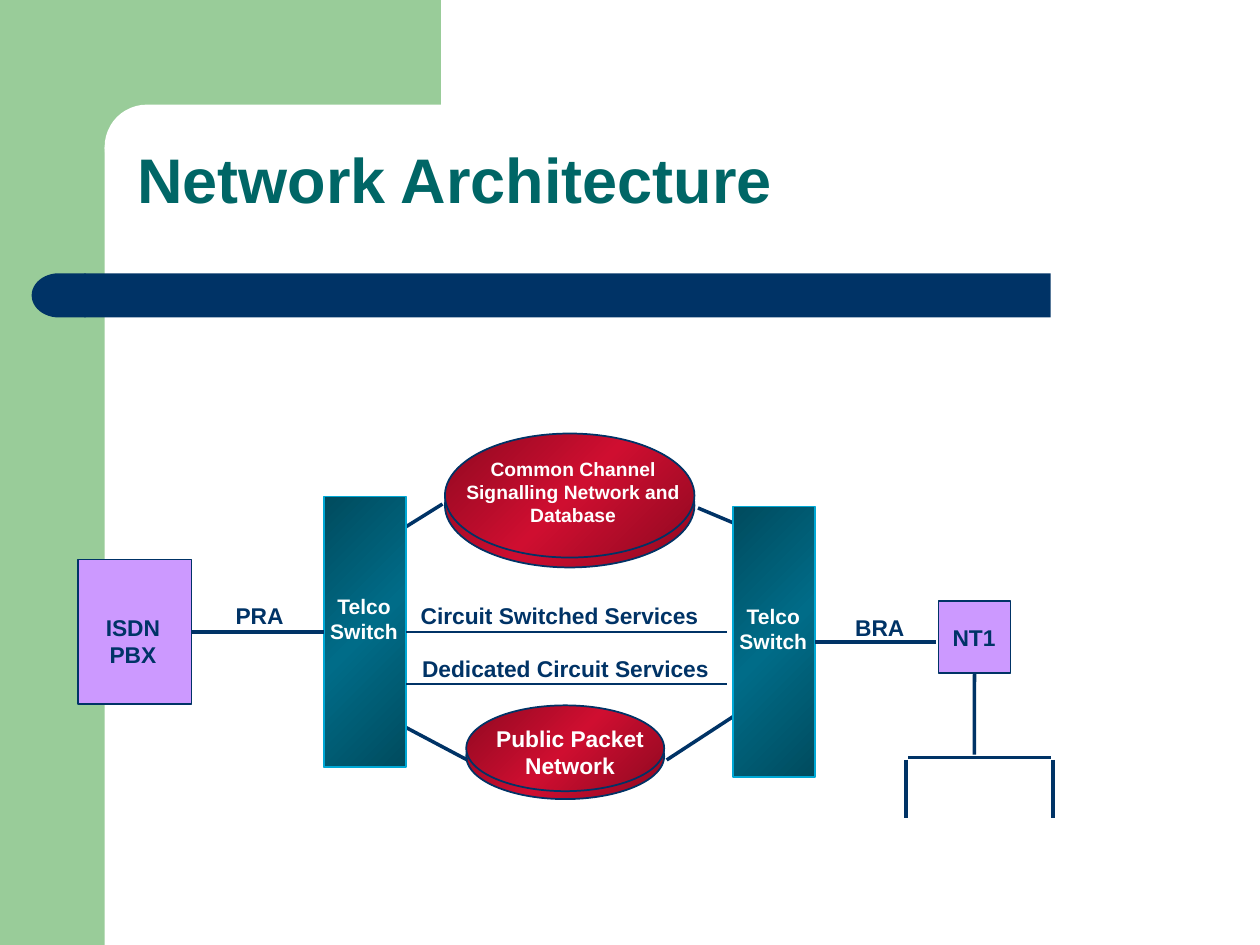
import copy

import pptx
import pptx.dml.color
import pptx.enum.shapes
import pptx.enum.text
import pptx.oxml
import pptx.oxml.ns
import pptx.util

Cm = pptx.util.Cm
Pt = pptx.util.Pt
Shape = pptx.enum.shapes.MSO_SHAPE
Align = pptx.enum.text.PP_ALIGN
Anchor = pptx.enum.text.MSO_ANCHOR

COLORS = {
    "green": "99CC99", "white": "FFFFFF", "navy": "003366", "title": "006666",
    "lilac": "CC99FF", "red_dark": "8F0921", "red": "CF0E30",
    "teal_dark": "004B5E", "teal": "006C88", "cyan": "00A8D5",
}
TOP, LEFT, BOTTOM, RIGHT = range(4)


def rgb(name):
    return pptx.dml.color.RGBColor.from_string(COLORS[name])


class Diagram:
    font_name = "Arial"
    thin, thick = 1, 2

    def __init__(self, slide):
        self.shapes = slide.shapes

    def shape(self, kind, x, y, width, height, fill, line=None):
        """Draw a preset shape; a pair of fills makes an edge-middle-edge gradient."""
        shape = self.shapes.add_shape(kind, Cm(x), Cm(y), Cm(width), Cm(height))
        shape.shadow.inherit = False
        if isinstance(fill, tuple):
            self.gradient(shape.fill, *fill)
        else:
            shape.fill.solid()
            shape.fill.fore_color.rgb = rgb(fill)
        if line:
            shape.line.color.rgb = rgb(line)
            shape.line.width = Pt(self.thin)
        else:
            shape.line.fill.background()
        return shape

    def gradient(self, fill, edge, middle):
        fill.gradient()
        fill.gradient_angle = 135
        first, last = fill.gradient_stops
        first.color.rgb = last.color.rgb = rgb(edge)
        first.position, last.position = 0, 1
        # A third stop has to be added in XML
        stops = fill._fill._gradFill.find(pptx.oxml.ns.qn("a:gsLst"))
        stops.insert(1, copy.deepcopy(stops[0]))
        center = fill.gradient_stops[1]
        center.position = 0.5
        center.color.rgb = rgb(middle)

    def text(self, x, y, width, height, lines, size=13, color="navy", align=Align.CENTER):
        box = self.shapes.add_textbox(Cm(x), Cm(y), Cm(width), Cm(height))
        frame = box.text_frame
        frame.word_wrap = False
        frame.text = "\n".join(lines)
        for para in frame.paragraphs:
            para.alignment = align
            para.font.name = self.font_name
            para.font.size = Pt(size)
            para.font.bold = True
            para.font.color.rgb = rgb(color)
        return box

    def title(self, x, y, width, height, words):
        frame = self.text(x, y, width, height, [words], 36, "title", Align.LEFT).text_frame
        frame.word_wrap = True
        frame.vertical_anchor = Anchor.MIDDLE
        frame.margin_left = frame.margin_right = Cm(0.23)
        frame.margin_top = frame.margin_bottom = Cm(0.1)
        frame.paragraphs[0].line_spacing = 0.9

    def label(self, x, y, width, words):
        self.text(x, y, width, 0.81, [words], align=Align.LEFT)

    def line(self, x1, y1, x2, y2, width=thick, begin=None, end=None):
        """Draw a line; begin and end are (shape, side) pairs to join."""
        line = self.shapes.add_connector(
            pptx.enum.shapes.MSO_CONNECTOR.STRAIGHT, Cm(x1), Cm(y1), Cm(x2), Cm(y2))
        line.line.color.rgb = rgb("navy")
        line.line.width = Pt(width)
        pptx.oxml.ns.qn("a:effectLst")
        line._element.spPr.append(pptx.oxml.parse_xml(
            '<a:effectLst xmlns:a="http://schemas.openxmlformats.org/drawingml/2006/main"/>'))
        if begin:
            line.begin_connect(*begin)
        if end:
            line.end_connect(*end)

    def disc(self, x, y, width, height, depth):
        """Draw an ellipse with a second one behind it as its lower edge."""
        for top in (y + depth, y):
            self.shape(Shape.OVAL, x, top, width, height, ("red_dark", "red"), "navy")

    def switch(self, x, y):
        block = self.shape(Shape.RECTANGLE, x, y, 1.65, 5.46, ("teal_dark", "teal"), "cyan")
        self.text(x - 0.13, y + 1.83, 1.88, 1.27, ["Telco", "Switch"], 12, "white")
        return block


def main():
    deck = pptx.Presentation()
    deck.slide_width, deck.slide_height = Cm(25.4), Cm(19.05)
    page = Diagram(deck.slides.add_slide(deck.slide_layouts[6]))

    # Green frame with a rounded inner corner
    page.shape(Shape.RECTANGLE, 0, 0, 2.11, 19.05, "green")
    page.shape(Shape.RECTANGLE, 1.9, 0, 6.99, 2.97, "green")
    corner = page.shape(Shape.ROUNDED_RECTANGLE, 2.11, 2.11, 14.17, 1.7, "white")
    corner.adjustments[0] = 0.5

    # Title and navy bar with a round left end
    page.shape(Shape.RECTANGLE, 1.7, 5.51, 19.48, 0.89, "navy")
    cap = page.shape(Shape.FLOWCHART_DELAY, 0.64, 5.51, 1.09, 0.89, "navy")
    cap._element.spPr.xfrm.set("flipH", "1")
    page.title(2.54, 2.11, 22.23, 3.18, "Network Architecture")

    # Customer equipment
    pbx = page.shape(Shape.RECTANGLE, 1.57, 11.28, 2.29, 2.92, "lilac", "navy")
    page.text(1.88, 12.24, 1.6, 1.37, ["ISDN", "PBX"])
    terminal = page.shape(Shape.RECTANGLE, 18.92, 12.12, 1.45, 1.45, "lilac", "navy")
    page.text(18.95, 12.45, 1.37, 0.81, ["NT1"])

    # Signalling and packet networks
    page.disc(8.97, 8.74, 5.03, 2.5, 0.2)
    page.text(9.14, 9.09, 4.83, 1.65,
              ["Common Channel", "Signalling Network and", "Database"], 11, "white")
    page.disc(9.4, 14.22, 3.99, 1.73, 0.16)
    page.text(9.75, 14.48, 3.48, 1.37, ["Public Packet", "Network"], 13, "white")

    # Slanted links, running in behind the switches
    for ends in ((8.15, 10.64, 8.92, 10.16), (14.07, 10.24, 15.21, 10.72),
                 (9.42, 15.32, 8.08, 14.61), (13.44, 15.32, 14.88, 14.38)):
        page.line(*ends)

    # Switches and the level links between them
    near_switch = page.switch(6.53, 10.01)
    far_switch = page.switch(14.78, 10.21)
    page.line(8.18, 12.74, 14.66, 12.74, page.thin, begin=(near_switch, RIGHT))
    page.line(8.18, 13.79, 14.66, 13.79, page.thin)
    page.label(8.23, 12.01, 6.1, "Circuit Switched Services")
    page.label(8.26, 13.08, 6.27, "Dedicated Circuit Services")

    # Access lines
    page.line(3.86, 12.74, 6.53, 12.74, begin=(pbx, RIGHT), end=(near_switch, LEFT))
    page.label(4.5, 12.01, 1.47, "PRA")
    page.line(16.43, 12.94, 18.87, 12.94, begin=(far_switch, RIGHT))
    page.label(16.99, 12.24, 1.5, "BRA")

    # Bus below the network terminal
    page.line(19.64, 13.57, 19.64, 15.21, begin=(terminal, BOTTOM))
    page.line(18.31, 15.27, 21.18, 15.27)
    for x in (18.26, 21.23):
        page.line(x, 15.32, x, 16.48)

    deck.save("out.pptx")


if __name__ == "__main__":
    main()
